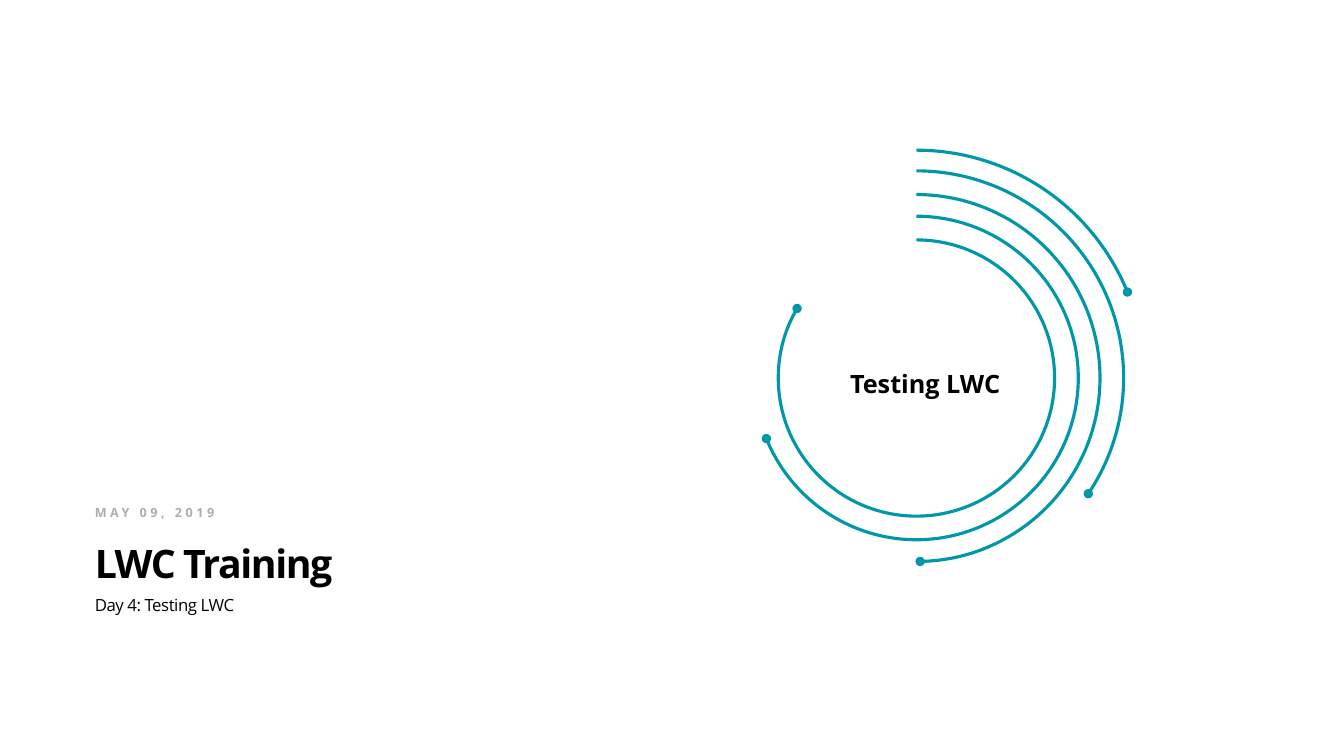
from dataclasses import dataclass

from lxml import etree
from pptx import Presentation
from pptx import util as u
from pptx.dml.color import RGBColor
from pptx.enum import shapes, text
from pptx.oxml import ns

WIDE, HIGH = u.Inches(13.33), u.Inches(7.5)
TEAL, BLACK, GREY = "0097A9", "000000", "AEAEAE"
MID_X, MID_Y = 68.19, 50
START = 270


@dataclass
class Words:
    text: str
    left: float
    top: float
    width: float
    height: float
    size: float
    color: str = BLACK
    bold: bool = True
    track: int = 0
    inset: tuple = (0, 0, 0, 0)
    anchor: text.MSO_ANCHOR = text.MSO_ANCHOR.TOP
    align: text.PP_ALIGN = text.PP_ALIGN.LEFT
    fit: text.MSO_AUTO_SIZE = text.MSO_AUTO_SIZE.NONE
    wrap: bool = True
    lead: float = 1.0


@dataclass
class Ring:
    radius: float
    end: float


TITLE = Words("LWC Training", 7.05, 70.4, 36.16, 7.2, 28, track=-100,
              inset=(0, 0.05, 0.1, 0), anchor=text.MSO_ANCHOR.BOTTOM, lead=0.85)
DATE = Words("MAY 09, 2019", 7.05, 66.8, 36.16, 5.07, 9, GREY, track=250)
TOPIC = Words("Day 4: Testing LWC", 7.05, 78.67, 36.16, 6.93, 12,
              bold=False, track=-30)
LABEL = Words("Testing LWC", 62.42, 48, 12.83, 5.33, 18,
              inset=(0.1, 0.05, 0.1, 0.05), align=text.PP_ALIGN.CENTER,
              fit=text.MSO_AUTO_SIZE.SHAPE_TO_FIT_TEXT, wrap=False)
RINGS = [Ring(30.13, 337.84), Ring(27.4, 33.96), Ring(24.27, 88.85),
         Ring(21.4, 158), Ring(18.27, 210.23)]


def color(code: str) -> RGBColor:
    return RGBColor.from_string(code)


def across(share: float) -> int:
    return round(WIDE * share / 100)


def down(share: float) -> int:
    return round(HIGH * share / 100)


def write(shape, item: Words) -> None:
    shape.left, shape.top = across(item.left), down(item.top)
    shape.width, shape.height = across(item.width), down(item.height)
    frame = shape.text_frame
    frame.text = item.text
    frame.word_wrap = item.wrap
    frame.auto_size = item.fit
    frame.vertical_anchor = item.anchor
    (frame.margin_left, frame.margin_top,
     frame.margin_right, frame.margin_bottom) = map(u.Inches, item.inset)
    para = frame.paragraphs[0]
    para.alignment = item.align
    para.line_spacing = item.lead
    para.space_before = u.Pt(0)
    font = para.font
    font.name, font.size, font.bold = "Open Sans", u.Pt(item.size), item.bold
    font.color.rgb = color(item.color)
    para._p.pPr.find(ns.qn("a:defRPr")).set("spc", str(item.track))


def draw(group, ring: Ring) -> None:
    half = down(ring.radius)
    arc = group.shapes.add_shape(
        shapes.MSO_SHAPE.ARC, across(MID_X) - half, down(MID_Y) - half,
        2 * half, 2 * half)
    arc.adjustments[0] = START * 0.6
    arc.adjustments[1] = ring.end * 0.6
    arc.shadow.inherit = False
    arc.fill.background()
    arc.line.color.rgb = color(TEAL)
    arc.line.width = u.Pt(2.25)
    line = arc.line._get_or_add_ln()
    etree.SubElement(line, ns.qn("a:tailEnd")).set("type", "oval")


def main() -> None:
    deck = Presentation()
    deck.slide_width, deck.slide_height = WIDE, HIGH
    slide = deck.slides.add_slide(deck.slide_layouts[4])
    holders = {h.placeholder_format.idx: h for h in slide.placeholders}
    for spare in (2, 4):
        node = holders[spare]._element
        node.getparent().remove(node)
    for index, item in enumerate((TITLE, DATE)):
        write(holders[index], item)
    group = slide.shapes.add_group_shape()
    for ring in RINGS:
        draw(group, ring)
    write(slide.shapes.add_textbox(0, 0, 0, 0), LABEL)
    write(holders[3], TOPIC)
    deck.save("out.pptx")


if __name__ == "__main__":
    main()
